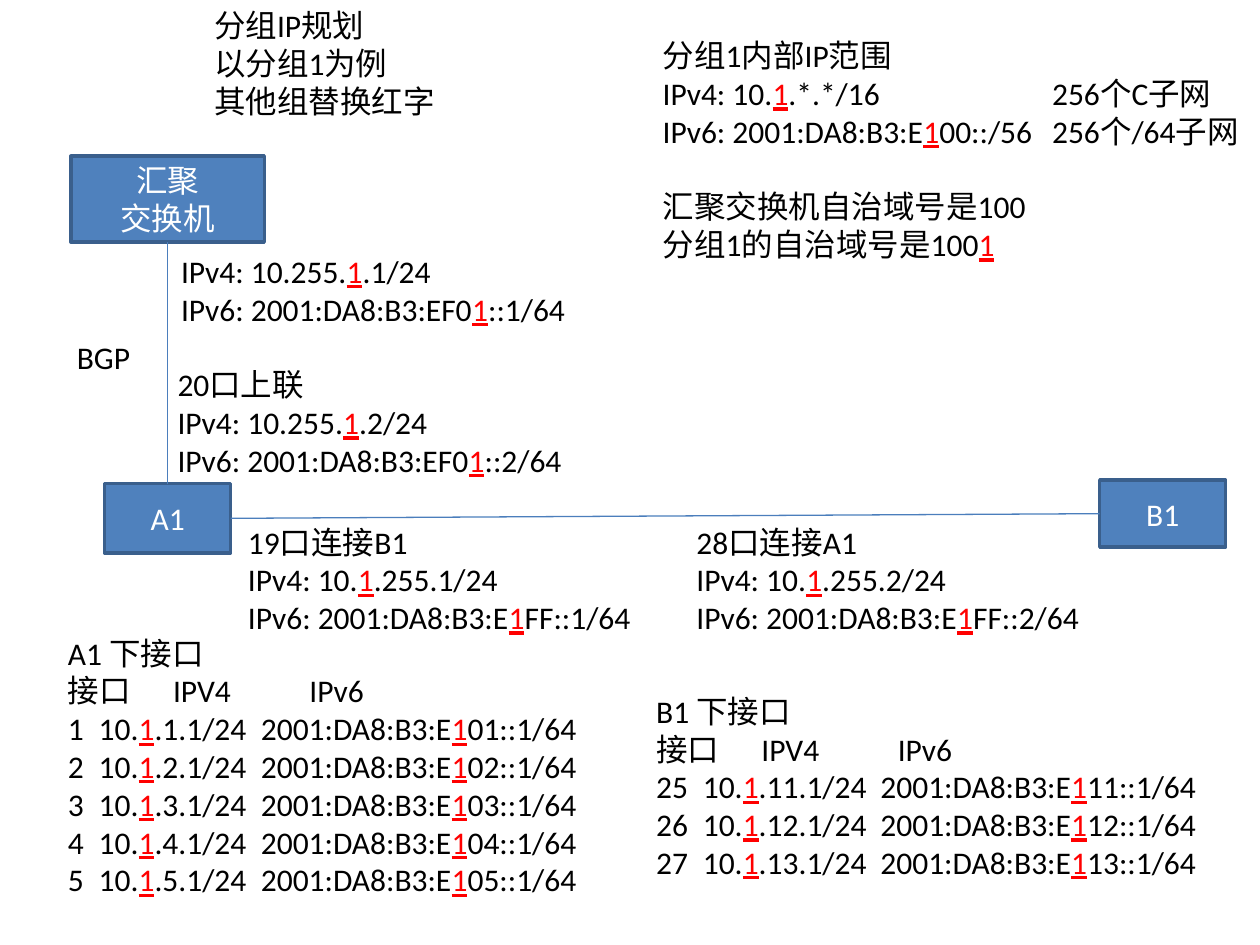
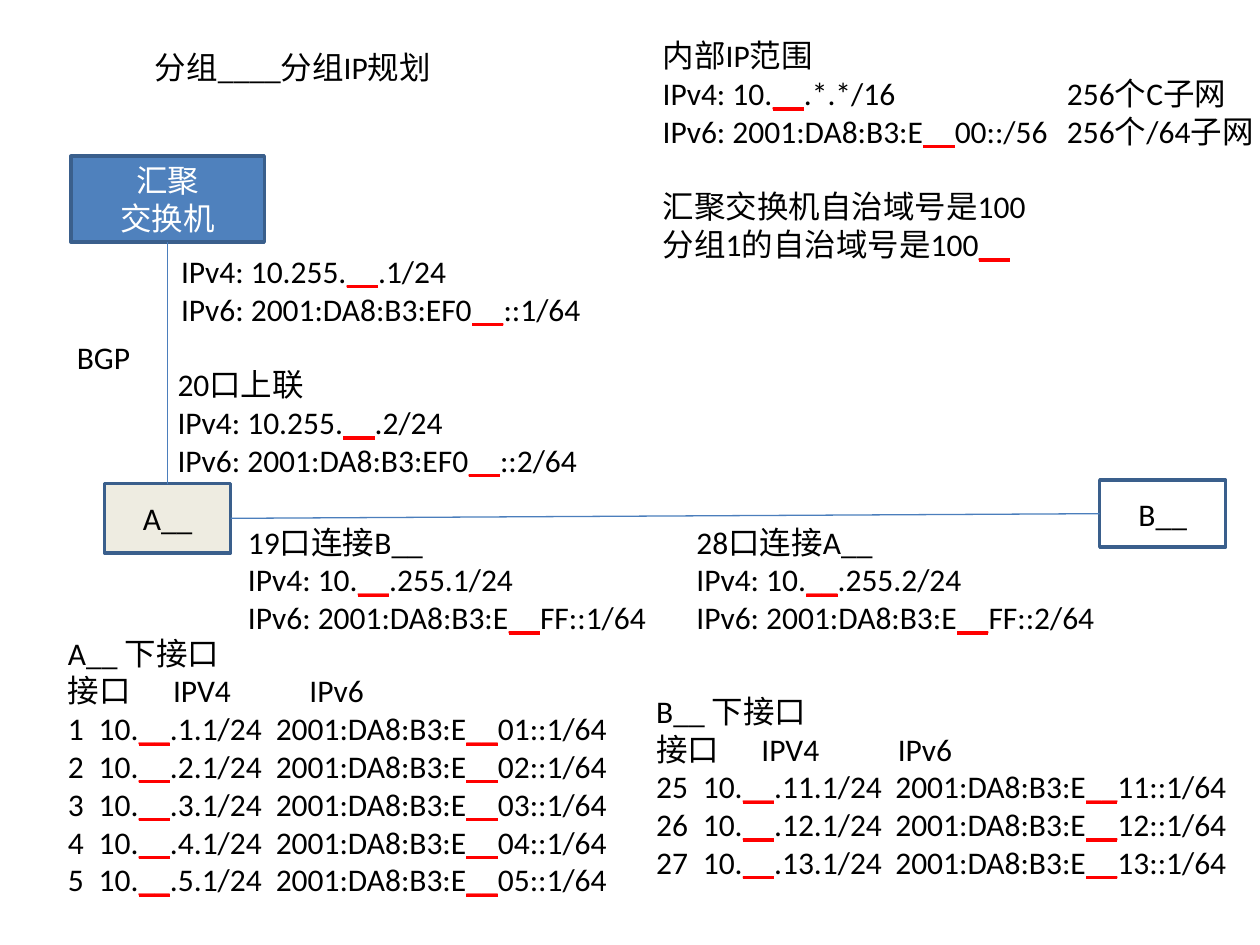
from dataclasses import dataclass

from lxml.etree import SubElement
from pptx import Presentation
from pptx.dml.color import RGBColor
from pptx.enum.shapes import MSO_CONNECTOR as Connector, MSO_SHAPE as Preset
from pptx.enum.text import MSO_ANCHOR as Anchor, MSO_AUTO_SIZE as AutoSize, PP_ALIGN as Align
from pptx.oxml.ns import qn
from pptx.util import Cm, Pt

FONT, SIZE = "Calibri", Pt(18)
BLACK, WHITE, RED = "000000", "FFFFFF", "FF0000"
BLUE, BORDER, LINK, CREAM = "4F81BD", "3A5F8C", "4B7EBC", "EEECE1"
TITLE_ONLY = 5
MARK = "#"
HEADER_TABS = (2.12, 4.87)


@dataclass
class Plan:
    """What differs between the filled example and the blank form."""
    title: list
    title_box: tuple
    range_heading: str
    group: str
    node_suffix: str
    node_fills: tuple
    node_color: str
    range_width: float
    range_tab: float
    tab_shift: float


EXAMPLE = Plan(["分组IP规划", "以分组1为例", "其他组替换红字"], (4.06, 0, 5.2, 2.57),
               "分组1内部IP范围", "1", "1", (BLUE, BLUE), WHITE, 12.29, 7.85, 0)
FORM = Plan(["分组____分组IP规划"], (2.87, 0.84, 6.12, 1.02),
            "内部IP范围", "__", "__", (CREAM, WHITE), BLACK, 12.6, 8.15, 0.3)


def rgb(value):
    """Turn a hex string into a colour."""
    return RGBColor.from_string(value)


def inside(region, left, top, width, height):
    """Place a box relative to the top left corner of a region."""
    return region[0] + left, region[1] + top, width, height


def add_run(paragraph, text, color, underline=None):
    """Add one run in the common font."""
    run = paragraph.add_run()
    run.text = text
    run.font.name, run.font.size = FONT, SIZE
    run.font.color.rgb = rgb(color)
    run.font.underline = underline


def set_tabs(paragraph, stops):
    """Give a paragraph left tab stops in centimetres."""
    tab_list = SubElement(paragraph._p.get_or_add_pPr(), qn("a:tabLst"))
    for stop in stops:
        SubElement(tab_list, qn("a:tab"), pos=str(int(Cm(stop))), algn="l")


def write_lines(frame, lines, group="", color=BLACK, align=Align.LEFT):
    """Write one paragraph per line, with the group number in red at each mark."""
    for index, line in enumerate(lines):
        paragraph = frame.paragraphs[0] if index == 0 else frame.add_paragraph()
        paragraph.alignment = align
        for part_index, part in enumerate(line.split(MARK)):
            if part_index:
                add_run(paragraph, group, RED, True)
            if part:
                add_run(paragraph, part, color)


def add_text(slide, box, lines, group=""):
    """Add a wrapping text box and return its paragraphs."""
    frame = slide.shapes.add_textbox(*map(Cm, box)).text_frame
    frame.word_wrap = True
    write_lines(frame, lines, group)
    return frame.paragraphs


def add_node(slide, box, lines, fill, color):
    """Add a bordered rectangle for one switch."""
    shape = slide.shapes.add_shape(Preset.RECTANGLE, *map(Cm, box))
    shape.shadow.inherit = False
    shape.fill.solid()
    shape.fill.fore_color.rgb = rgb(fill)
    shape.line.color.rgb = rgb(BORDER)
    shape.line.width = Pt(2)
    shape.text_frame.vertical_anchor = Anchor.MIDDLE
    write_lines(shape.text_frame, lines, color=color, align=Align.CENTER)
    return shape


def add_link(slide, start, start_side, end, end_side):
    """Join two switches with a thin line."""
    connector = slide.shapes.add_connector(Connector.STRAIGHT, 0, 0, 0, 0)
    connector.begin_connect(start, start_side)
    connector.end_connect(end, end_side)
    connector.line.color.rgb = rgb(LINK)
    connector.line.width = Pt(0.75)
    SubElement(connector._element.spPr, qn("a:effectLst"))


def add_title(slide, plan):
    """Place and fill the title."""
    title = slide.shapes.title
    title.left, title.top, title.width, title.height = map(Cm, plan.title_box)
    frame = title.text_frame
    frame.word_wrap = True
    frame.auto_size = AutoSize.NONE
    frame.vertical_anchor = Anchor.TOP
    write_lines(frame, plan.title)


def add_topology(slide, plan, region):
    """Draw the three switches, their links and the addresses at each end."""
    fill_a, fill_b = plan.node_fills
    name_a, name_b = "A" + plan.node_suffix, "B" + plan.node_suffix
    core = add_node(slide, inside(region, 0, 0, 3.9, 1.73), ["汇聚", "交换机"], BLUE, WHITE)
    node_a = add_node(slide, inside(region, 0.68, 6.6, 2.54, 1.4), [name_a], fill_a, plan.node_color)
    node_b = add_node(slide, inside(region, 20.74, 6.53, 2.54, 1.35), [name_b], fill_b, plan.node_color)
    add_link(slide, node_a, 3, node_b, 1)
    add_link(slide, node_a, 0, core, 2)
    add_text(slide, inside(region, -0.13, 3.53, 1.8, 1.02), ["BGP"])
    ends = [
        (1.97, 1.8, [], "10.255.#.1", "EF0#::1"),
        (1.9, 4.09, ["20口上联"], "10.255.#.2", "EF0#::2"),
        (3.32, 7.26, ["19口连接" + name_b], "10.#.255.1", "E#FF::1"),
        (12.36, 7.26, ["28口连接" + name_a], "10.#.255.2", "E#FF::2"),
    ]
    for left, top, heading, ipv4, ipv6 in ends:
        lines = heading + [f"IPv4: {ipv4}/24", f"IPv6: 2001:DA8:B3:{ipv6}/64"]
        add_text(slide, inside(region, left, top, 8.9, 2.57), lines, plan.group)


def add_ranges(slide, plan, box):
    """List the address ranges and the autonomous system numbers."""
    paragraphs = add_text(slide, box, [
        plan.range_heading,
        "IPv4: 10.#.*.*/16\t256个C子网",
        "IPv6: 2001:DA8:B3:E#00::/56\t256个/64子网",
        "汇聚交换机自治域号是100",
        "分组1的自治域号是100#",
    ], plan.group)
    for paragraph in paragraphs[1:3]:
        set_tabs(paragraph, [plan.range_tab])
    paragraphs[3].space_before = Pt(21.5)


def add_ports(slide, plan, box, node, first_port, first_subnet, count, tabs):
    """List the ports below one switch with their addresses."""
    lines = [f"{node}{plan.node_suffix} 下接口", "接口\tIPV4\tIPv6"]
    for step in range(count):
        subnet = first_subnet + step
        lines.append(f"{first_port + step}\t10.#.{subnet}.1/24\t2001:DA8:B3:E#{subnet:02d}::1/64")
    paragraphs = add_text(slide, box, lines, plan.group)
    set_tabs(paragraphs[1], HEADER_TABS)
    for paragraph in paragraphs[2:]:
        set_tabs(paragraph, (tabs[0], tabs[1] + plan.tab_shift))


def add_plan_slide(presentation, plan):
    """Build one address plan slide."""
    slide = presentation.slides.add_slide(presentation.slide_layouts[TITLE_ONLY])
    add_title(slide, plan)
    add_topology(slide, plan, (1.43, 3.15))
    add_ranges(slide, plan, (13.11, 0.61, plan.range_width, 4.88))
    add_ports(slide, plan, (1.12, 12.65, 12, 6.4), "A", 1, 1, 5, (0.62, 3.89))
    add_ports(slide, plan, (12.98, 13.82, 12.4, 4.11), "B", 25, 11, 3, (0.94, 4.52))


def main():
    """Build and save the presentation."""
    presentation = Presentation()
    presentation.slide_width, presentation.slide_height = Cm(25.4), Cm(19.05)
    for plan in (EXAMPLE, FORM):
        add_plan_slide(presentation, plan)
    presentation.save("out.pptx")


if __name__ == "__main__":
    main()
